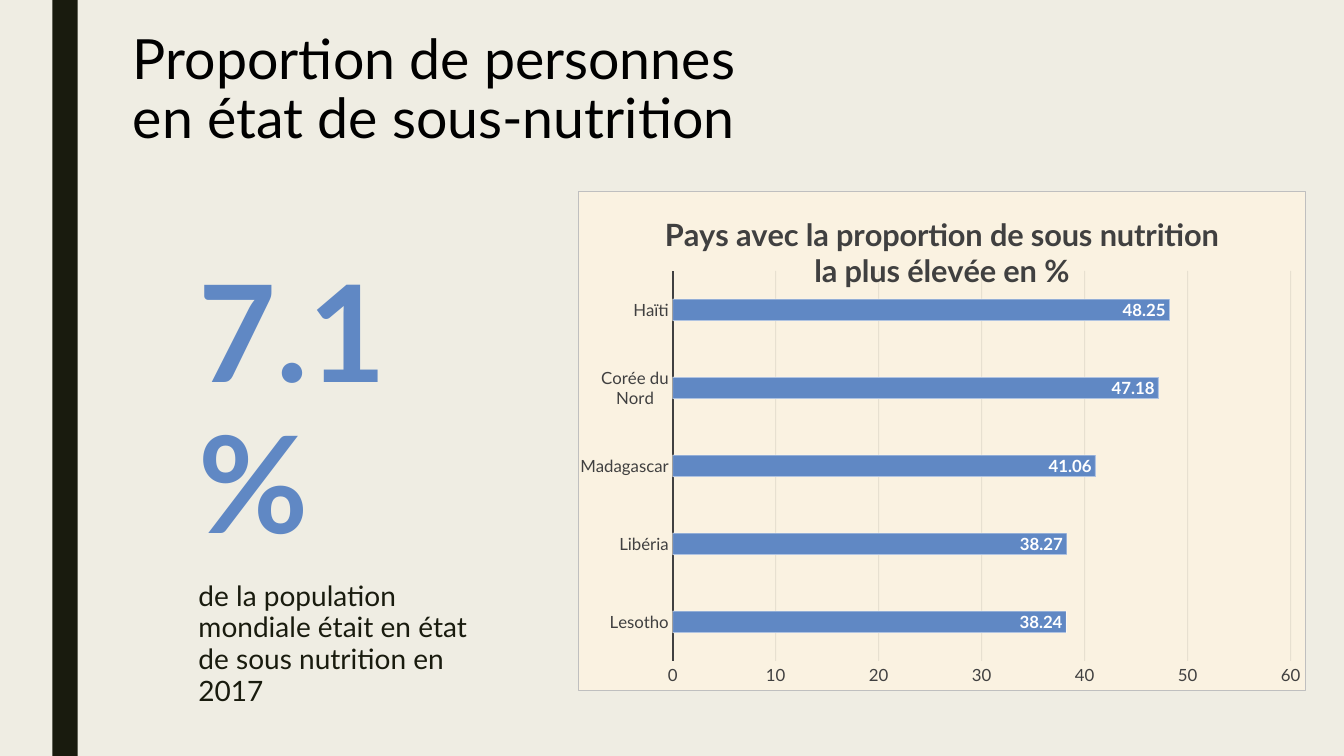
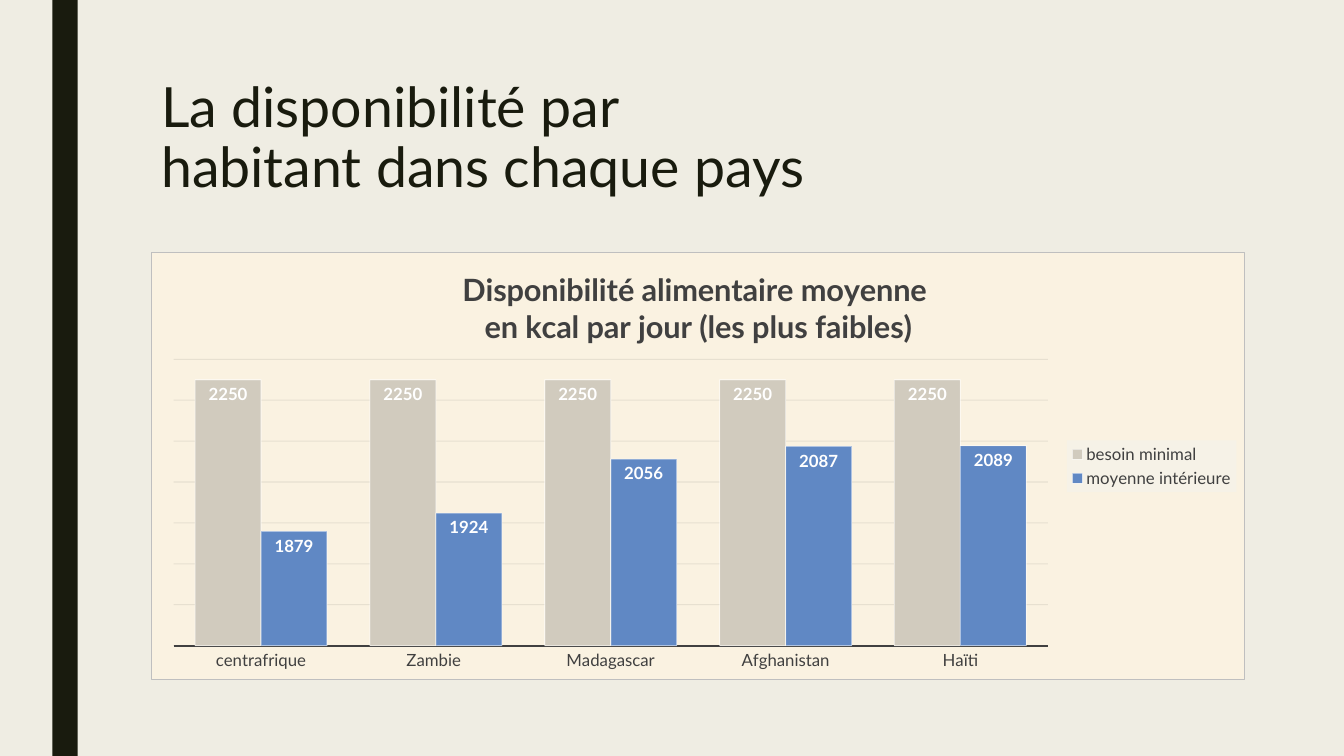
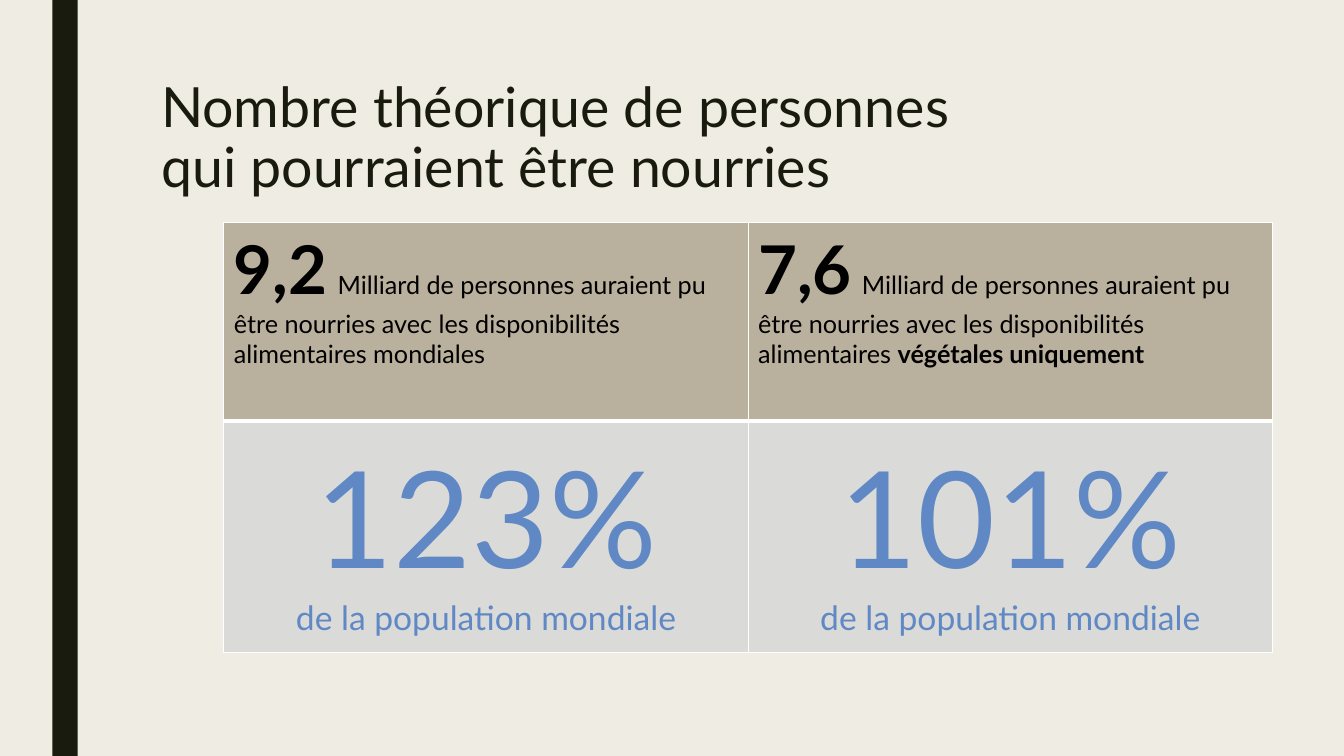
import dataclasses

import pptx
import pptx.chart.data
import pptx.dml.color
import pptx.enum.chart
import pptx.enum.shapes
import pptx.enum.text
import pptx.oxml
import pptx.oxml.ns
import pptx.util

Inches = pptx.util.Inches
Pt = pptx.util.Pt
ChartType = pptx.enum.chart.XL_CHART_TYPE
Align = pptx.enum.text.PP_ALIGN
Anchor = pptx.enum.text.MSO_ANCHOR


@dataclasses.dataclass(frozen=True)
class Theme:
    font: str = "Lato"
    background: str = "EFEDE3"
    ink: str = "191B0E"
    black: str = "000000"
    white: str = "FFFFFF"
    accent: str = "6088C4"
    pale_blue: str = "B6C9D6"
    slate: str = "63869B"
    beige: str = "D1CBBE"
    panel: str = "FAF2E1"
    panel_border: str = "BFBFBF"
    chart_ink: str = "404040"
    grid: str = "0D0D0D"
    legend: str = "F2F2F2"
    header_cell: str = "BAB09E"
    body_cell: str = "DADBD9"
    title_size: float = 39.6
    huge_size: float = 96
    figure_size: float = 48
    gap_size: float = 28
    caption_size: float = 24
    chart_title_size: float = 22
    body_size: float = 20
    cell_size: float = 18
    label_size: float = 12


def rgb(code):
    return pptx.dml.color.RGBColor.from_string(code)


def xml(markup):
    """Build an element whose markup leaves its c and a namespaces to be declared."""
    head, rest = markup.split(">", 1)
    return pptx.oxml.parse_xml(f"{head} {pptx.oxml.ns.nsdecls('c', 'a')}>{rest}")


def solid(color, alpha=100):
    return (f'<a:solidFill><a:srgbClr val="{color}"><a:alpha val="{alpha * 1000}"/>'
            "</a:srgbClr></a:solidFill>")


def set_alpha(colors, percent):
    for color in colors:
        color.append(xml(f'<a:alpha val="{percent * 1000}"></a:alpha>'))


class Deck:
    """Holds the theme, the presentation and the slide being filled."""

    def __init__(self, theme):
        self.theme = theme
        self.presentation = pptx.Presentation()
        self.presentation.slide_width = Inches(13.33)
        self.presentation.slide_height = Inches(7.5)
        fill = self.presentation.slide_master.background.fill
        fill.solid()
        fill.fore_color.rgb = rgb(theme.background)
        self.slide = None

    def new_slide(self, title, left=1.5, top=0.75, color=None):
        theme = self.theme
        self.slide = self.presentation.slides.add_slide(self.presentation.slide_layouts[6])
        band = self.slide.shapes.add_shape(
            pptx.enum.shapes.MSO_SHAPE.RECTANGLE,
            Inches(0.52), 0, Inches(0.25), self.presentation.slide_height)
        band.shadow.inherit = False
        band.fill.solid()
        band.fill.fore_color.rgb = rgb(theme.ink)
        band.line.fill.background()
        frame = self.text_box(left, top, 10.5, 1.62)
        frame.text = title
        frame.paragraphs[0].line_spacing = 0.89
        self.style_runs(frame.paragraphs[0], theme.title_size, color or theme.ink)

    def style_font(self, font, size, color, bold=False):
        font.name = self.theme.font
        font.size = Pt(size)
        font.bold = bold
        font.color.rgb = rgb(color)

    def style_runs(self, paragraph, size, color, bold=False):
        for run in paragraph.runs:
            self.style_font(run.font, size, color, bold)

    def text_box(self, left, top, width, height):
        shape = self.slide.shapes.add_textbox(
            Inches(left), Inches(top), Inches(width), Inches(height))
        shape.text_frame.word_wrap = True
        return shape.text_frame

    def key_figure(self, figure, caption, left, top, width, height):
        theme = self.theme
        frame = self.text_box(left, top, width, height)
        frame.text = f"{figure}\n{caption}"
        for paragraph in frame.paragraphs:
            paragraph.line_spacing = 0.94
            paragraph.space_before = Pt(10)
            paragraph.space_after = Pt(2)
        self.style_runs(frame.paragraphs[0], theme.huge_size, theme.accent, True)
        self.style_runs(frame.paragraphs[1], theme.body_size, theme.ink)

    def bar_chart(self, kind, title, categories, series, place, plot_area, scale):
        """Draw bars; series holds (name, values, color), scale is (min, max, step)."""
        theme = self.theme
        data = pptx.chart.data.CategoryChartData()
        data.categories = categories
        for name, values, color in series:
            data.add_series(name, values)
        chart = self.slide.shapes.add_chart(kind, *map(Inches, place), data).chart
        self.style_font(chart.font, theme.label_size, theme.chart_ink)
        chart.has_legend = False
        chart.has_title = True
        chart.chart_title.text_frame.text = title
        for paragraph in chart.chart_title.text_frame.paragraphs:
            self.style_runs(paragraph, theme.chart_title_size, theme.chart_ink, True)

        plot = chart.plots[0]
        plot.gap_width = 65
        plot.overlap = 0
        plot.vary_by_categories = False
        for bars, (name, values, color) in zip(plot.series, series):
            bars.format.fill.solid()
            bars.format.fill.fore_color.rgb = rgb(color)
            bars.format.line.color.rgb = rgb(theme.white)
            bars.format.line.width = Pt(0.75)
            labels = bars.data_labels
            labels.show_value = True
            labels.position = pptx.enum.chart.XL_LABEL_POSITION.INSIDE_END
            self.style_font(labels.font, theme.label_size, theme.white, True)
        set_alpha(chart.element.xpath(".//c:ser/c:spPr/a:ln//a:srgbClr"), 50)
        self.style_axes(chart, scale)
        self.style_panel(chart, plot_area)
        return chart

    def style_axes(self, chart, scale):
        theme = self.theme
        for axis in (chart.category_axis, chart.value_axis):
            axis.major_tick_mark = pptx.enum.chart.XL_TICK_MARK.NONE
            axis.minor_tick_mark = pptx.enum.chart.XL_TICK_MARK.NONE
            self.style_font(axis.tick_labels.font, theme.label_size, theme.chart_ink)
        chart.category_axis.format.line.color.rgb = rgb(theme.chart_ink)
        chart.category_axis.format.line.width = Pt(1.5)
        values = chart.value_axis
        values.minimum_scale, values.maximum_scale, values.major_unit = scale
        values.format.line.fill.background()
        values.has_major_gridlines = True
        values.major_gridlines.format.line.color.rgb = rgb(theme.grid)
        values.major_gridlines.format.line.width = Pt(0.75)
        set_alpha(chart.element.xpath(".//c:majorGridlines//a:srgbClr"), 7)

    def style_panel(self, chart, plot_area):
        """Fill and frame the chart, and fix its inner plot area (fractions)."""
        theme = self.theme
        chart.element.xpath("c:chart")[0].addnext(xml(
            f"<c:spPr>{solid(theme.panel)}"
            f'<a:ln w="{Pt(0.75)}">{solid(theme.panel_border)}</a:ln></c:spPr>'))
        area = chart.element.xpath(".//c:plotArea")[0]
        for layout in area.xpath("c:layout"):
            area.remove(layout)
        sizes = "".join(f'<c:{tag} val="{value}"/>' for tag, value in zip("xywh", plot_area))
        area.insert(0, xml(
            '<c:layout><c:manualLayout><c:layoutTarget val="inner"/>'
            f'<c:xMode val="edge"/><c:yMode val="edge"/>{sizes}'
            "</c:manualLayout></c:layout>"))

    def right_legend(self, chart):
        theme = self.theme
        chart.has_legend = True
        chart.legend.position = pptx.enum.chart.XL_LEGEND_POSITION.RIGHT
        chart.legend.include_in_layout = False
        self.style_font(chart.legend.font, theme.label_size, theme.chart_ink)
        chart.element.xpath(".//c:legend/c:txPr")[0].addprevious(
            xml(f"<c:spPr>{solid(theme.legend, 39)}</c:spPr>"))

    def table(self, left, top, column_width, row_heights, columns):
        """Each column is (runs of its top cell, paragraphs of its bottom cell)."""
        theme = self.theme
        table = self.slide.shapes.add_table(
            len(row_heights), len(columns), Inches(left), Inches(top),
            Inches(column_width * len(columns)), Inches(sum(row_heights))).table
        for row, height in zip(table.rows, row_heights):
            row.height = Inches(height)
        for index, (statement, share) in enumerate(columns):
            table.columns[index].width = Inches(column_width)
            header, body = table.cell(0, index), table.cell(1, index)
            self.style_cell(header, theme.header_cell, Anchor.TOP, bottom_line=3)
            for text, size, bold in statement:
                run = header.text_frame.paragraphs[0].add_run()
                run.text = text
                self.style_font(run.font, size, theme.black, bold)
            self.style_cell(body, theme.body_cell, Anchor.MIDDLE)
            body.text_frame.text = "\n".join(share)
            sizes = (theme.huge_size, theme.caption_size)
            for paragraph, size in zip(body.text_frame.paragraphs, sizes):
                paragraph.alignment = Align.CENTER
                self.style_runs(paragraph, size, theme.accent)

    def style_cell(self, cell, color, anchor, bottom_line=1):
        cell.vertical_anchor = anchor
        properties = cell._tc.get_or_add_tcPr()
        for side, width in zip("LRTB", (1, 1, 1, bottom_line)):
            properties.append(xml(
                f'<a:ln{side} w="{Pt(width)}">{solid(self.theme.white)}</a:ln{side}>'))
        cell.fill.solid()
        cell.fill.fore_color.rgb = rgb(color)


def undernourishment_slide(deck):
    theme = deck.theme
    deck.new_slide("Proportion de personnes\ven état de sous-nutrition", 1.22, 0.27, theme.black)
    deck.key_figure(
        "7.1 %", "de la population mondiale était en état de sous nutrition en 2017",
        1.87, 2.54, 3.22, 4)
    no_values = [None] * 5
    deck.bar_chart(
        ChartType.BAR_CLUSTERED,
        "Pays avec la proportion de sous nutrition la plus élevée en %",
        ["Lesotho", "Libéria", "Madagascar", "Corée du Nord", "Haïti"],
        [("Series 1", no_values, theme.pale_blue),
         ("Series 2", [38.24, 38.27, 41.06, 47.18, 48.25], theme.accent),
         ("Series 3", no_values, theme.slate)],
        place=(5.73, 1.89, 7.22, 4.97), plot_area=(0.13, 0.16, 0.85, 0.78),
        scale=(0, 60, 10))


def availability_slide(deck):
    theme = deck.theme
    deck.new_slide("La disponibilité par\vhabitant dans chaque pays")
    chart = deck.bar_chart(
        ChartType.COLUMN_CLUSTERED,
        "Disponibilité alimentaire moyenne \nen kcal par jour (les plus faibles)",
        ["centrafrique", "Zambie ", "Madagascar", "Afghanistan", "Haïti"],
        [("besoin minimal", [2250] * 5, theme.beige),
         ("moyenne intérieure", [1879, 1924, 2056, 2087, 2089], theme.accent)],
        place=(1.5, 2.5, 10.85, 4.25), plot_area=(0.02, 0.25, 0.8, 0.67),
        scale=(1600, 2300, 100))
    chart.value_axis.visible = False
    deck.right_legend(chart)


def people_fed_slide(deck):
    theme = deck.theme
    deck.new_slide("Nombre théorique de personnes\vqui pourraient être nourries")
    columns = []
    for figure, scope, emphasis, share in (
            ("9,2", "mondiales", "", "123%"),
            ("7,6", "", "végétales uniquement", "101%")):
        sentence = ("Milliard de personnes auraient pu être nourries "
                    f"avec les disponibilités alimentaires {scope}")
        statement = [(figure, theme.figure_size, True), (" ", theme.gap_size, False),
                     (sentence, theme.cell_size, False)]
        if emphasis:
            statement.append((emphasis, theme.cell_size, True))
        columns.append((statement, (share, "de la population mondiale")))
    deck.table(2.22, 2.21, 5.2, (1.97, 2.29), columns)


def main():
    deck = Deck(Theme())
    undernourishment_slide(deck)
    availability_slide(deck)
    people_fed_slide(deck)
    deck.presentation.save("out.pptx")


if __name__ == "__main__":
    main()
